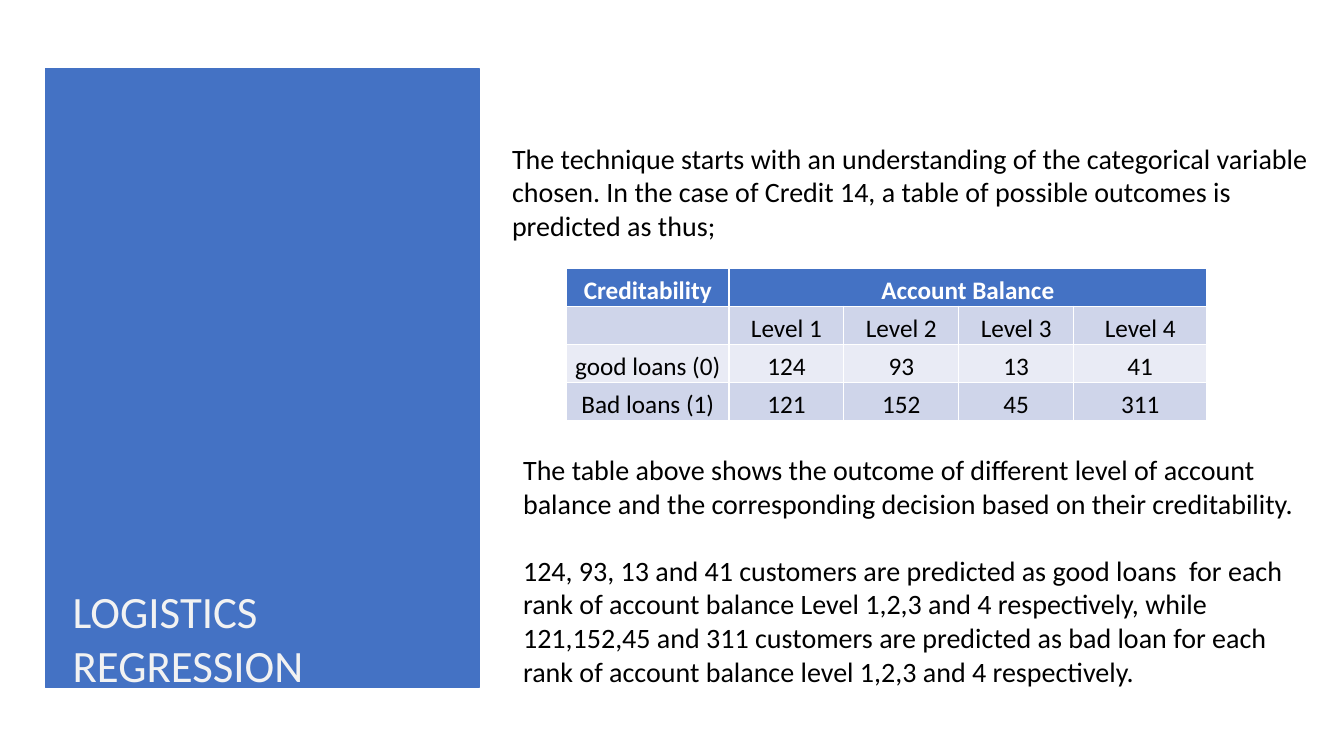
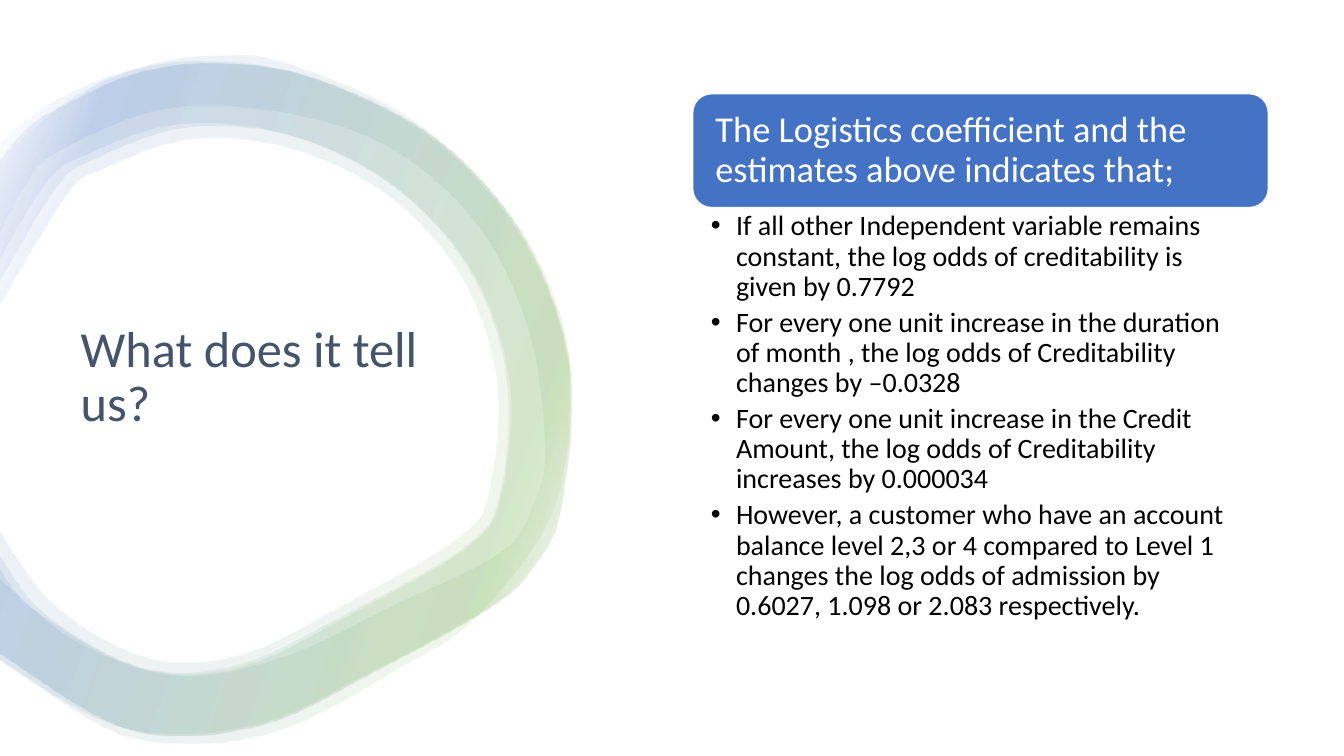
from pptx import Presentation
from pptx.dml.color import RGBColor
from pptx.enum.shapes import MSO_SHAPE
from pptx.enum.text import MSO_ANCHOR, MSO_AUTO_SIZE, PP_ALIGN
from pptx.oxml import parse_xml
from pptx.oxml.ns import nsdecls
from pptx.util import Inches, Pt

FONT = "Calibri"
BLUE, GREEN, WHITE, BLACK = "4472C4", "70AD47", "FFFFFF", "000000"
PALE, SLATE = "F2F2F2", "44546A"
BAND_DARK, BAND_LIGHT = "CFD5EA", "E9EBF5"
TITLE_ONLY, TITLE_AND_CONTENT = 5, 1
INSET = (0.1, 0.05, 0.1, 0.05)
RING_STOPS = [(2, WHITE), (16, GREEN), (85, BLUE), (100, WHITE)]

INTRODUCTION = [
    "The technique starts with an understanding of the categorical variable chosen. "
    "In the case of Credit 14, a table of possible outcomes is predicted as thus;"
]
EXPLANATION = [
    "The table above shows the outcome of different level of account balance "
    "and the corresponding decision based on their creditability.",
    "124, 93, 13 and 41 customers are predicted as good loans  for each rank of "
    "account balance Level 1,2,3 and 4 respectively, while  121,152,45 and 311 "
    "customers are predicted as bad loan for each rank of account balance level "
    "1,2,3 and 4 respectively.",
]
OUTCOMES = [
    ["Creditability", "Account Balance", "", "", ""],
    ["", "Level 1", "Level 2", "Level 3", "Level 4"],
    ["good loans (0)", "124", "93", "13", "41"],
    ["Bad loans (1)", "121", "152", "45", "311"],
]
FINDINGS = [
    "If all other Independent variable remains constant, the log odds of "
    "creditability is given by 0.7792",
    "For every one unit increase in the duration of month , the log odds of "
    "Creditability changes by –0.0328",
    "For every one unit increase in the Credit Amount, the log odds of "
    "Creditability increases by 0.000034",
    "However, a customer who have an account balance level 2,3 or 4 compared to "
    "Level 1 changes the log odds of admission by 0.6027, 1.098 or 2.083 respectively.",
]

HALO_OUTER = [
    (0, 1.04), (0.77, 0.4), (1.53, 0.08), (2.2, 0), (2.86, 0.07), (4.06, 0.6),
    (5.01, 1.48), (5.52, 2.4), (5.67, 3.27), (5.5, 4.52), (4.72, 5.58),
    (3.94, 6.09), (3.1, 6.56), (2.45, 6.77), (1.73, 6.81), (1.05, 6.65), (0, 5.97),
]
HALO_INNER = [
    (0, 5.16), (0.78, 5.8), (1.79, 6.14), (2.84, 5.95), (3.93, 5.44), (4.98, 4.92),
    (5.3, 4.46), (5.42, 3.88), (5.26, 2.72), (4.75, 1.67), (3.87, 0.9),
    (2.77, 0.55), (1.63, 0.53), (0.58, 0.96), (0.26, 1.31), (0, 1.8),
]
WIDE_OUTER = [
    (0, 0.87), (0.53, 0.46), (1.27, 0.15), (2.04, 0.05), (3.05, 0.19), (4.3, 0.81),
    (5.2, 1.81), (5.66, 3.08), (5.58, 4.48), (5.3, 5.06), (4.87, 5.46),
    (3.75, 6.07), (2.56, 6.62), (1.24, 6.65), (0, 5.97),
]
WIDE_INNER = [
    (0, 5.05), (0.39, 5.5), (1.4, 6.05), (2.37, 6.03), (3.44, 5.53), (4.64, 4.85),
    (4.98, 4.32), (5.04, 3.17), (4.67, 2.11), (3.91, 1.28), (2.89, 0.78),
    (1.8, 0.67), (0.84, 0.99), (0.47, 1.27), (0, 2.05),
]
BAND_OUTER = [
    (0, 1.07), (0.28, 0.72), (0.64, 0.49), (1.36, 0.17), (2.13, 0.07), (3.12, 0.21),
    (4.35, 0.82), (5.22, 1.81), (5.67, 3.09), (5.58, 4.48), (5.3, 5.07),
    (4.88, 5.46), (3.78, 6.07), (2.59, 6.63), (1.31, 6.67), (0, 5.9),
]
THICK_INNER = [
    (0, 4.67), (0.57, 5.44), (1.5, 5.96), (2.43, 5.92), (3.41, 5.44), (4.57, 4.76),
    (4.87, 4.29), (4.94, 3.19), (4.59, 2.18), (3.88, 1.39), (2.93, 0.92),
    (1.91, 0.82), (1.01, 1.13), (0.68, 1.38), (0, 2.5),
]
THIN_INNER = [
    (0, 4.91), (0.48, 5.53), (1.47, 6.07), (2.43, 6.04), (3.47, 5.54), (4.65, 4.86),
    (4.99, 4.32), (5.06, 3.17), (4.69, 2.12), (3.95, 1.3), (2.96, 0.8),
    (1.89, 0.7), (0.95, 1.02), (0.58, 1.3), (0, 2.27),
]
RING_LAYERS = [
    (HALO_OUTER, HALO_INNER), (WIDE_OUTER, WIDE_INNER),
    (BAND_OUTER, THICK_INNER), (BAND_OUTER, THIN_INNER),
]


def color(code):
    """Turn a hex string into a colour."""
    return RGBColor.from_string(code)


def place(shape, box):
    """Move and size a shape to a box in inches."""
    shape.left, shape.top, shape.width, shape.height = map(Inches, box)


def add_run(para, text, size, code, bold=False):
    """Add one formatted run to a paragraph."""
    span = para.add_run()
    span.text = text
    span.font.name = FONT
    span.font.size = Pt(size)
    span.font.bold = bold
    span.font.color.rgb = color(code)


def write(shape, texts, size, code, anchor=MSO_ANCHOR.TOP, inset=INSET,
          spacing=1.0, before=0, after=0):
    """Fill a shape with left-aligned paragraphs, spaced between each other."""
    frame = shape.text_frame
    frame.word_wrap = True
    frame.auto_size = MSO_AUTO_SIZE.NONE
    frame.vertical_anchor = anchor
    (frame.margin_left, frame.margin_top,
     frame.margin_right, frame.margin_bottom) = map(Inches, inset)
    for index, text in enumerate(texts):
        para = frame.add_paragraph() if index else frame.paragraphs[0]
        para.alignment = PP_ALIGN.LEFT
        para.line_spacing = spacing
        para.space_before = Pt(before if index else 0)
        para.space_after = Pt(after)
        add_run(para, text, size, code)


def add_panel(page, kind, box, line):
    """Add a blue shape with a thin outline."""
    panel = page.shapes.add_shape(kind, *map(Inches, box))
    panel.shadow.inherit = False
    panel.fill.solid()
    panel.fill.fore_color.rgb = color(BLUE)
    panel.line.color.rgb = color(line)
    panel.line.width = Pt(1)
    return panel


def add_title(page, text, box, size, code, **style):
    """Place and write the title placeholder."""
    title = page.shapes.title
    place(title, box)
    write(title, [text], size, code, **style)
    return title


def add_note(page, texts, box):
    """Add a box of running text."""
    note = page.shapes.add_textbox(*map(Inches, box))
    write(note, texts, 20, BLACK, before=24)


def add_outcomes(page, box):
    """Add the table of loan outcomes by account balance."""
    table = page.shapes.add_table(4, 5, *map(Inches, box)).table
    first, middle = 1.61, 1.14
    widths = [first] + [middle] * 3 + [box[2] - first - 3 * middle]
    for column, size in zip(table.columns, widths):
        column.width = Inches(size)
    table.cell(0, 1).merge(table.cell(0, 4))
    for row, texts in enumerate(OUTCOMES):
        header = row == 0
        band = BLUE if header else BAND_DARK if row % 2 else BAND_LIGHT
        for column, text in enumerate(texts):
            cell = table.cell(row, column)
            cell.fill.solid()
            cell.fill.fore_color.rgb = color(band)
            cell.vertical_anchor = MSO_ANCHOR.BOTTOM
            cell.margin_left = cell.margin_right = cell.margin_top = Inches(0.01)
            cell.margin_bottom = 0
            if text:
                para = cell.text_frame.paragraphs[0]
                para.alignment = PP_ALIGN.CENTER
                add_run(para, text, 18, WHITE if header else BLACK, header)


def curve_controls(points):
    """Give the two control points of each smooth segment through the points."""
    padded = [points[0], *points, points[-1]]
    return [
        [tuple(q + (r - p) / 6 for p, q, r in zip(a, b, c)),
         tuple(r - (s - q) / 6 for q, r, s in zip(b, c, d))]
        for a, b, c, d in zip(padded, padded[1:], padded[2:], padded[3:])]


def round_edges(shape, outer, inner, left, top):
    """Turn the straight edges of a band into curves, except at its open end."""
    controls = curve_controls(outer) + [None] + curve_controls(inner)
    for edge, pair in zip(list(shape.element.iter("{*}lnTo")), controls):
        if pair is None:
            continue
        marks = "".join(
            f'<a:pt x="{Inches(left + x) - shape.left}" y="{Inches(top + y) - shape.top}"/>'
            for x, y in pair)
        curve = parse_xml(f'<a:cubicBezTo {nsdecls("a")}>{marks}</a:cubicBezTo>')
        curve.append(edge[0])
        edge.getparent().replace(edge, curve)


def fade(shape, stops, opacity, angle):
    """Give a shape a translucent linear gradient and no outline."""
    marks = "".join(
        f'<a:gs pos="{position * 1000}"><a:srgbClr val="{code}">'
        f'<a:alpha val="{opacity * 1000}"/></a:srgbClr></a:gs>'
        for position, code in stops)
    gradient = parse_xml(
        f'<a:gradFill {nsdecls("a")} rotWithShape="1"><a:gsLst>{marks}</a:gsLst>'
        f'<a:lin ang="{angle * 60000}" scaled="0"/></a:gradFill>')
    shape.line.fill.background()
    shape.fill.solid()
    solid = shape.element.spPr.find("{*}solidFill")
    solid.getparent().replace(solid, gradient)


def add_ring(page, left, top):
    """Layer the translucent bands of the open ring."""
    for outer, inner in RING_LAYERS:
        outline = [(Inches(left + x), Inches(top + y)) for x, y in outer + inner]
        builder = page.shapes.build_freeform(*outline[0])
        builder.add_line_segments(outline[1:], close=True)
        band = builder.convert_to_shape()
        band.shadow.inherit = False
        round_edges(band, outer, inner, left, top)
        fade(band, RING_STOPS, 10, 200)


def add_findings(page, box):
    """Place the blue heading and the bulleted list under it."""
    left, top, width, height = box
    heading_height = 1.13
    heading = add_panel(page, MSO_SHAPE.ROUNDED_RECTANGLE,
                        (left, top, width, heading_height), WHITE)
    write(heading, ["The Logistics coefficient and the estimates above indicates that;"],
          26, WHITE, MSO_ANCHOR.MIDDLE, (0.17, 0.16, 0.17, 0.16), 0.9)
    body = page.placeholders[1]
    place(body, (left, top + heading_height, width, height - heading_height))
    write(body, FINDINGS, 20, BLACK, inset=(0.18, 0.04, 0.2, 0.04),
          spacing=0.9, after=4)
    for para in body.text_frame.paragraphs:
        properties = para._p.get_or_add_pPr()
        properties.set("marL", str(Inches(0.25)))
        properties.set("indent", str(Inches(-0.25)))


def build_regression(deck):
    """Build the slide with the side panel and the outcome table."""
    page = deck.slides.add_slide(deck.slide_layouts[TITLE_ONLY])
    panel = add_panel(page, MSO_SHAPE.RECTANGLE, (0.45, 0.68, 4.3, 6.14), BLUE)
    title = add_title(page, "LOGISTICS REGRESSION", (0.62, 5.74, 3.97, 1.18), 32, PALE)
    title.element.addprevious(panel.element)
    add_note(page, INTRODUCTION, (4.98, 1.35, 8.18, 1.45))
    add_outcomes(page, (5.62, 2.66, 6.35, 1.51))
    add_note(page, EXPLANATION, (5.09, 4.44, 7.96, 2.46))


def build_meaning(deck):
    """Build the slide with the ring and the findings."""
    page = deck.slides.add_slide(deck.slide_layouts[TITLE_AND_CONTENT])
    add_ring(page, -0.02, 0.56)
    add_title(page, "What does it tell us?", (0.7, 1.36, 4.22, 4.78), 36, SLATE,
              anchor=MSO_ANCHOR.MIDDLE, spacing=0.9, after=6)
    add_findings(page, (6.87, 0.93, 5.71, 5.49))


def main():
    """Build and save the deck."""
    deck = Presentation()
    deck.slide_width, deck.slide_height = Inches(13.33), Inches(7.5)
    build_regression(deck)
    build_meaning(deck)
    deck.save("out.pptx")


if __name__ == "__main__":
    main()
